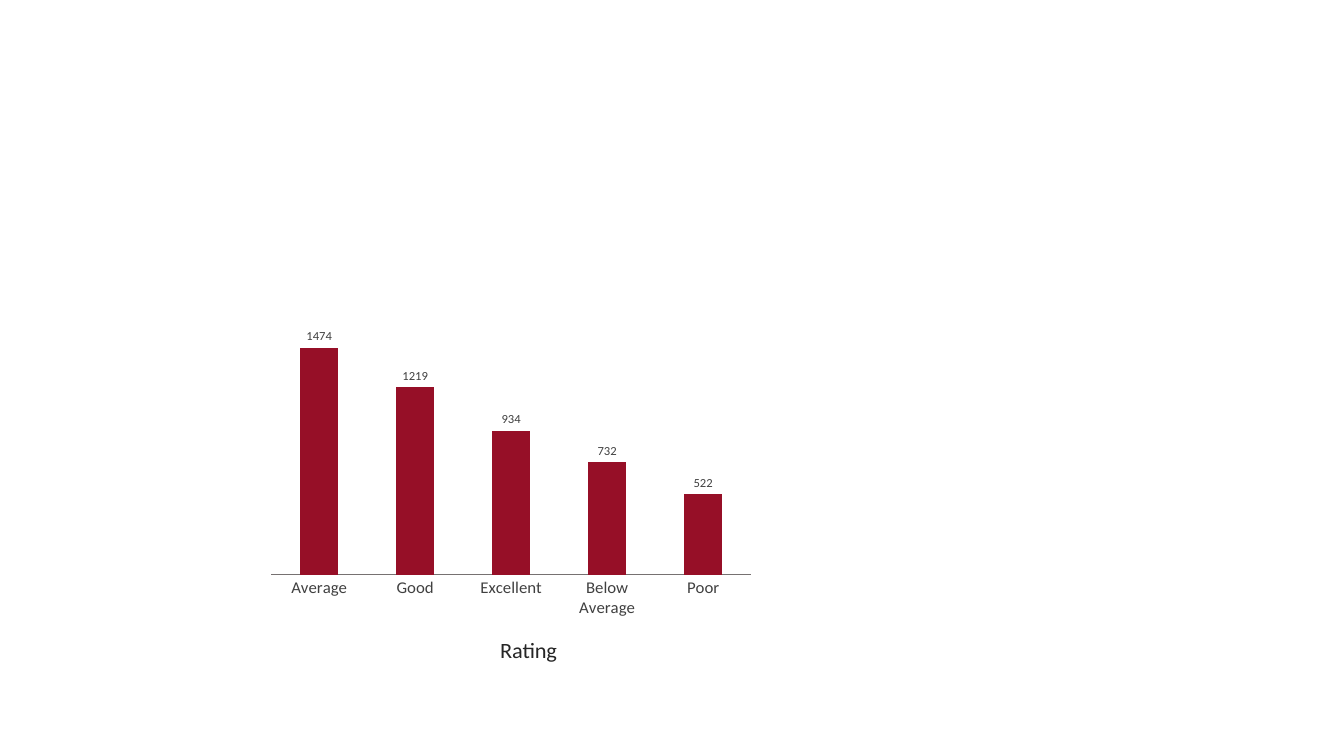
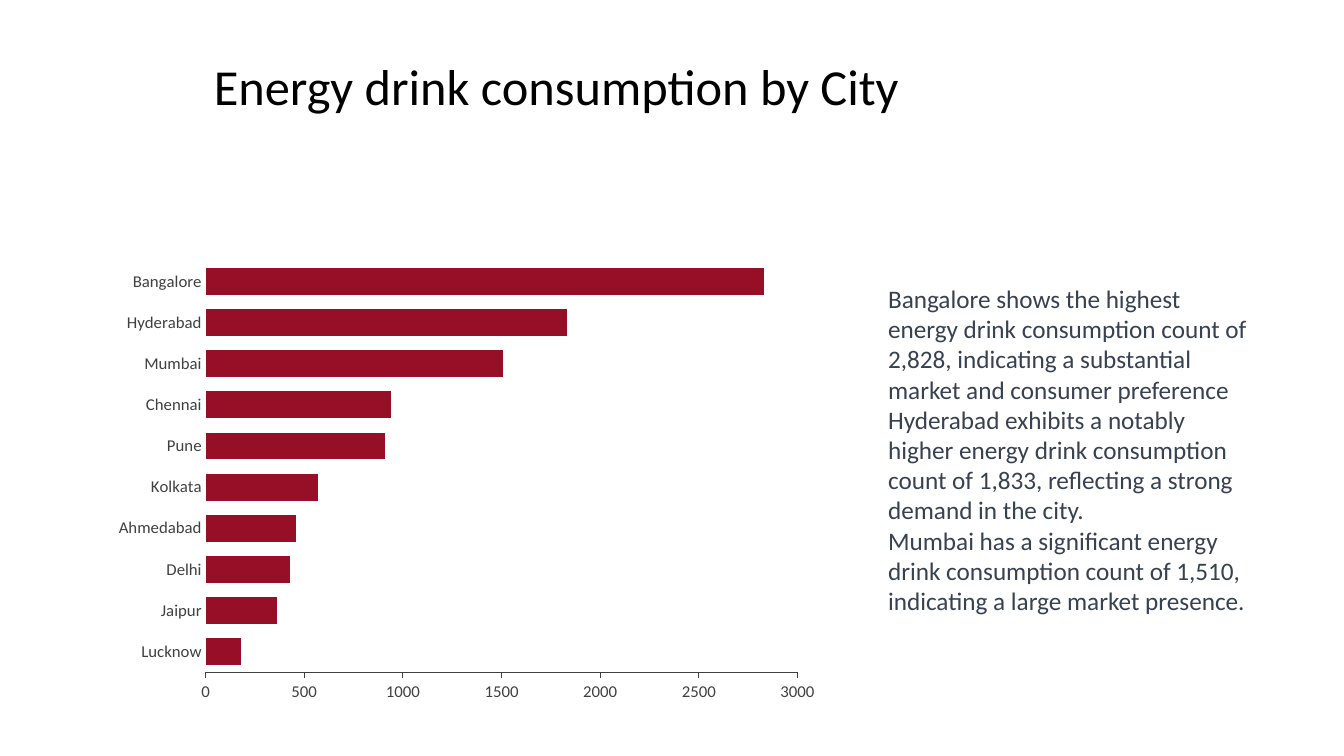
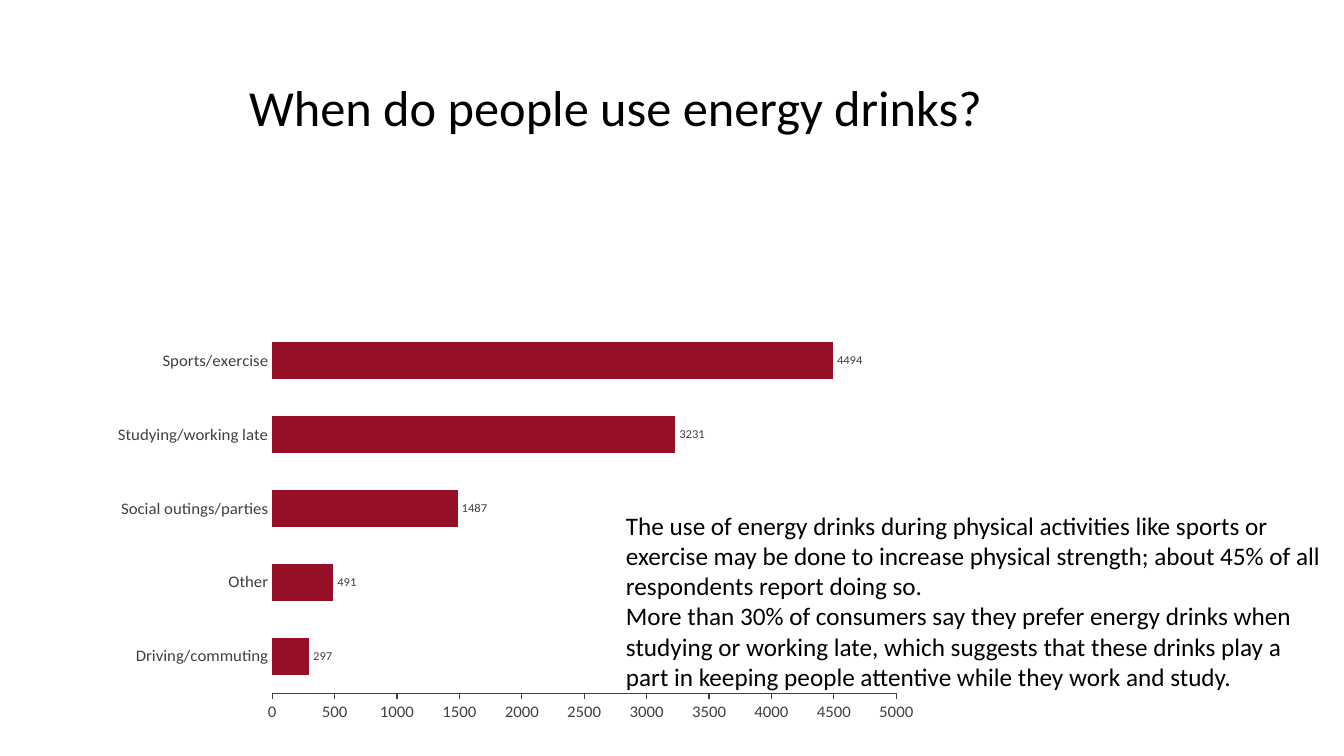
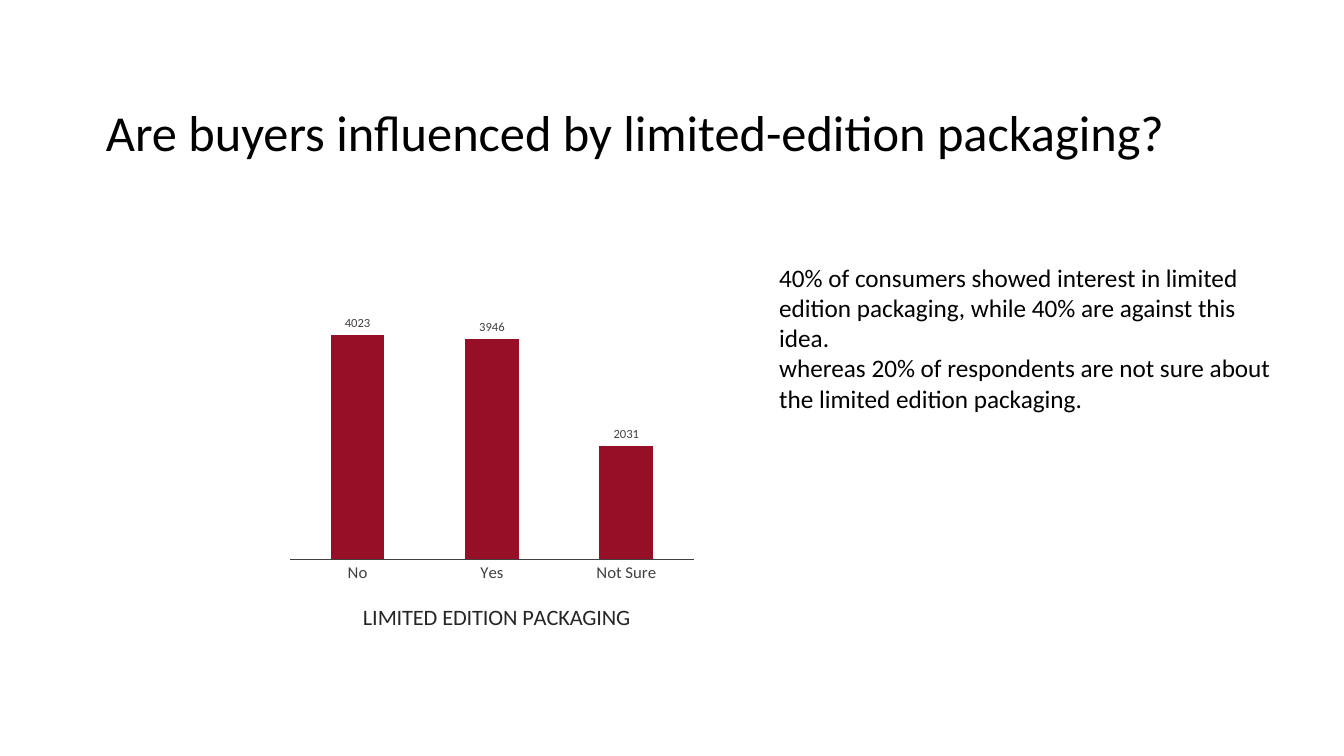
from dataclasses import dataclass
from typing import Optional

from lxml import etree
from pptx import Presentation
from pptx.chart.data import CategoryChartData
from pptx.dml.color import RGBColor
from pptx.enum import chart as charts, text
from pptx.oxml import ns
from pptx.util import Inches, Pt


@dataclass(frozen=True)
class Theme:
    font: str = "Calibri"
    bar: str = "960F27"
    black: str = "000000"
    slate: str = "374151"
    label: str = "404040"
    grey_line: str = "767171"
    axis_title: str = "262626"
    title_size: int = 36
    body_size: int = 18
    axis_title_size: int = 16
    axis_size: int = 12
    chart_size: int = 10
    label_size: int = 9
    line_width: float = 0.75


@dataclass(frozen=True)
class Box:
    left: float
    top: float
    width: float
    height: float

    def lengths(self):
        return [Inches(value) for value in (self.left, self.top, self.width, self.height)]


@dataclass(frozen=True)
class ChartSpec:
    values: dict
    plot: Box
    maximum: int
    gap: int
    horizontal: bool = False
    labelled: bool = True
    overlap: int = 0
    axis_color: str = Theme.label
    caption: Optional[str] = None
    caption_at: tuple = (0, 0)


THEME = Theme()
TITLE_ONLY, BLANK = 5, 6


def style_font(font, size, color):
    font.name = THEME.font
    font.size = Pt(size)
    font.color.rgb = RGBColor.from_string(color)


def style_line(line, color):
    line.color.rgb = RGBColor.from_string(color)
    line.width = Pt(THEME.line_width)


def set_layout(parent, index, settings):
    tag = ns.qn("c:layout")
    for layout in parent.findall(tag):
        parent.remove(layout)
    layout = etree.Element(tag)
    manual = etree.SubElement(layout, ns.qn("c:manualLayout"))
    for name, value in settings.items():
        etree.SubElement(manual, ns.qn(f"c:{name}")).set("val", str(value))
    parent.insert(index, layout)


def place_plot(chart, box, plot):
    set_layout(chart.element.find(".//" + ns.qn("c:plotArea")), 0, {
        "layoutTarget": "inner",
        "xMode": "edge",
        "yMode": "edge",
        "x": plot.left / box.width,
        "y": plot.top / box.height,
        "w": plot.width / box.width,
        "h": plot.height / box.height,
    })


def add_caption(axis, box, spec):
    axis_title = axis.axis_title
    paragraph = axis_title.text_frame.paragraphs[0]
    paragraph.text = spec.caption
    style_font(paragraph.font, THEME.axis_title_size, THEME.axis_title)
    paragraph.font.bold = False
    left, top = spec.caption_at
    set_layout(axis_title.element, 1, {
        "xMode": "edge",
        "yMode": "edge",
        "x": left / box.width,
        "y": top / box.height,
    })


def style_axes(chart, box, spec):
    category, value = chart.category_axis, chart.value_axis
    for axis in (category, value):
        axis.has_major_gridlines = False
        axis.major_tick_mark = charts.XL_TICK_MARK.NONE
        style_font(axis.tick_labels.font, THEME.axis_size, THEME.label)
    value.minimum_scale = 0
    value.maximum_scale = spec.maximum
    value.major_unit = 500
    if spec.horizontal:
        category.format.line.fill.background()
        category.crosses = charts.XL_AXIS_CROSSES.MAXIMUM
        value.major_tick_mark = charts.XL_TICK_MARK.OUTSIDE
        style_line(value.format.line, spec.axis_color)
    else:
        style_line(category.format.line, spec.axis_color)
        value.visible = False
    if spec.caption:
        add_caption(category, box, spec)


def add_bar_chart(slide, box, spec):
    data = CategoryChartData()
    data.categories = list(spec.values)
    data.add_series("Series 1", list(spec.values.values()))
    kind = charts.XL_CHART_TYPE
    chart_type = kind.BAR_CLUSTERED if spec.horizontal else kind.COLUMN_CLUSTERED
    chart = slide.shapes.add_chart(chart_type, *box.lengths(), data).chart
    style_font(chart.font, THEME.chart_size, THEME.black)
    chart.has_title = False
    chart.has_legend = False
    plot = chart.plots[0]
    plot.vary_by_categories = False
    plot.gap_width = spec.gap
    plot.overlap = spec.overlap
    fill = plot.series[0].format.fill
    fill.solid()
    fill.fore_color.rgb = RGBColor.from_string(THEME.bar)
    if spec.labelled:
        labels = plot.series[0].data_labels
        labels.show_value = True
        labels.position = charts.XL_LABEL_POSITION.OUTSIDE_END
        style_font(labels.font, THEME.label_size, THEME.label)
    style_axes(chart, box, spec)
    place_plot(chart, box, spec.plot)


def set_title(slide, box, wording):
    title = slide.shapes.title
    title.left, title.top, title.width, title.height = box.lengths()
    frame = title.text_frame
    frame.text = wording
    frame.word_wrap = True
    frame.auto_size = text.MSO_AUTO_SIZE.NONE
    frame.vertical_anchor = text.MSO_ANCHOR.TOP
    paragraph = frame.paragraphs[0]
    paragraph.alignment = text.PP_ALIGN.LEFT
    style_font(paragraph.font, THEME.title_size, THEME.black)


def add_findings(slide, box, findings, color=THEME.black):
    frame = slide.shapes.add_textbox(*box.lengths()).text_frame
    frame.word_wrap = True
    frame.auto_size = text.MSO_AUTO_SIZE.SHAPE_TO_FIT_TEXT
    frame.text = "\n".join(findings)
    for paragraph in frame.paragraphs:
        style_font(paragraph.font, THEME.body_size, color)


def add_slide(presentation, layout):
    return presentation.slides.add_slide(presentation.slide_layouts[layout])


def build_rating(presentation):
    slide = add_slide(presentation, BLANK)
    add_bar_chart(slide, Box(1.67, 3.18, 6.24, 3.48), ChartSpec(
        values={"Average": 1474, "Good": 1219, "Excellent": 934,
                "Below Average": 732, "Poor": 522},
        plot=Box(1.02, 0.08, 4.76, 2.51),
        maximum=1600,
        gap=150,
        axis_color=THEME.grey_line,
        caption="Rating",
        caption_at=(3.25, 3.17),
    ))


def build_cities(presentation):
    slide = add_slide(presentation, TITLE_ONLY)
    add_bar_chart(slide, Box(0.63, 2, 7.72, 4.96), ChartSpec(
        values={"Lucknow": 180, "Jaipur": 360, "Delhi": 430, "Ahmedabad": 460,
                "Kolkata": 570, "Pune": 910, "Chennai": 940, "Mumbai": 1510,
                "Hyderabad": 1830, "Bangalore": 2830},
        plot=Box(1.41, 0.6, 5.87, 4.14),
        maximum=3000,
        gap=53,
        horizontal=True,
        labelled=False,
    ))
    add_findings(slide, Box(8.71, 2.76, 3.79, 3.43), [
        "Bangalore shows the highest energy drink consumption count of 2,828, "
        "indicating a substantial market and consumer preference",
        "Hyderabad exhibits a notably higher energy drink consumption count of 1,833, "
        "reflecting a strong demand in the city.",
        "Mumbai has a significant energy drink consumption count of 1,510, "
        "indicating a large market presence.",
    ], THEME.slate)
    set_title(slide, Box(2.02, 0.5, 9.3, 0.71), "Energy drink consumption by City")


def build_occasions(presentation):
    slide = add_slide(presentation, TITLE_ONLY)
    add_bar_chart(slide, Box(1.01, 2.85, 8.23, 4.31), ChartSpec(
        values={"Driving/commuting": 297, "Other": 491, "Social outings/parties": 1487,
                "Studying/working late": 3231, "Sports/exercise": 4494},
        plot=Box(1.69, 0.38, 6.19, 3.84),
        maximum=5000,
        gap=100,
        horizontal=True,
    ))
    add_findings(slide, Box(6.11, 5.01, 7.11, 1.92), [
        "The use of energy drinks during physical activities like sports or exercise may be "
        "done to increase physical strength; about 45% of all respondents report doing so.",
        "More than 30% of consumers say they prefer energy drinks when studying or working "
        "late, which suggests that these drinks play a part in keeping people attentive "
        "while they work and study.",
    ])
    set_title(slide, Box(2.37, 0.71, 7.48, 0.71), "When do people use energy drinks?")


def build_packaging(presentation):
    slide = add_slide(presentation, TITLE_ONLY)
    add_bar_chart(slide, Box(2.03, 2.8, 5.15, 3.53), ChartSpec(
        values={"No": 4023, "Yes": 3946, "Not Sure": 2031},
        plot=Box(0.85, 0.26, 4, 2.53),
        maximum=4500,
        gap=150,
        overlap=-27,
        caption="LIMITED EDITION PACKAGING",
        caption_at=(1.53, 3.18),
    ))
    add_findings(slide, Box(7.63, 2.55, 5.27, 1.62), [
        "40% of consumers showed interest in limited edition packaging, "
        "while 40% are against this idea.",
        "whereas 20% of respondents are not sure about the limited edition packaging.",
    ])
    set_title(slide, Box(0.95, 0.95, 10.77, 0.71),
              "Are buyers influenced by limited-edition packaging?")


def main():
    presentation = Presentation()
    presentation.slide_width = Inches(13.33)
    presentation.slide_height = Inches(7.5)
    for build in (build_rating, build_cities, build_occasions, build_packaging):
        build(presentation)
    presentation.save("out.pptx")


if __name__ == "__main__":
    main()
